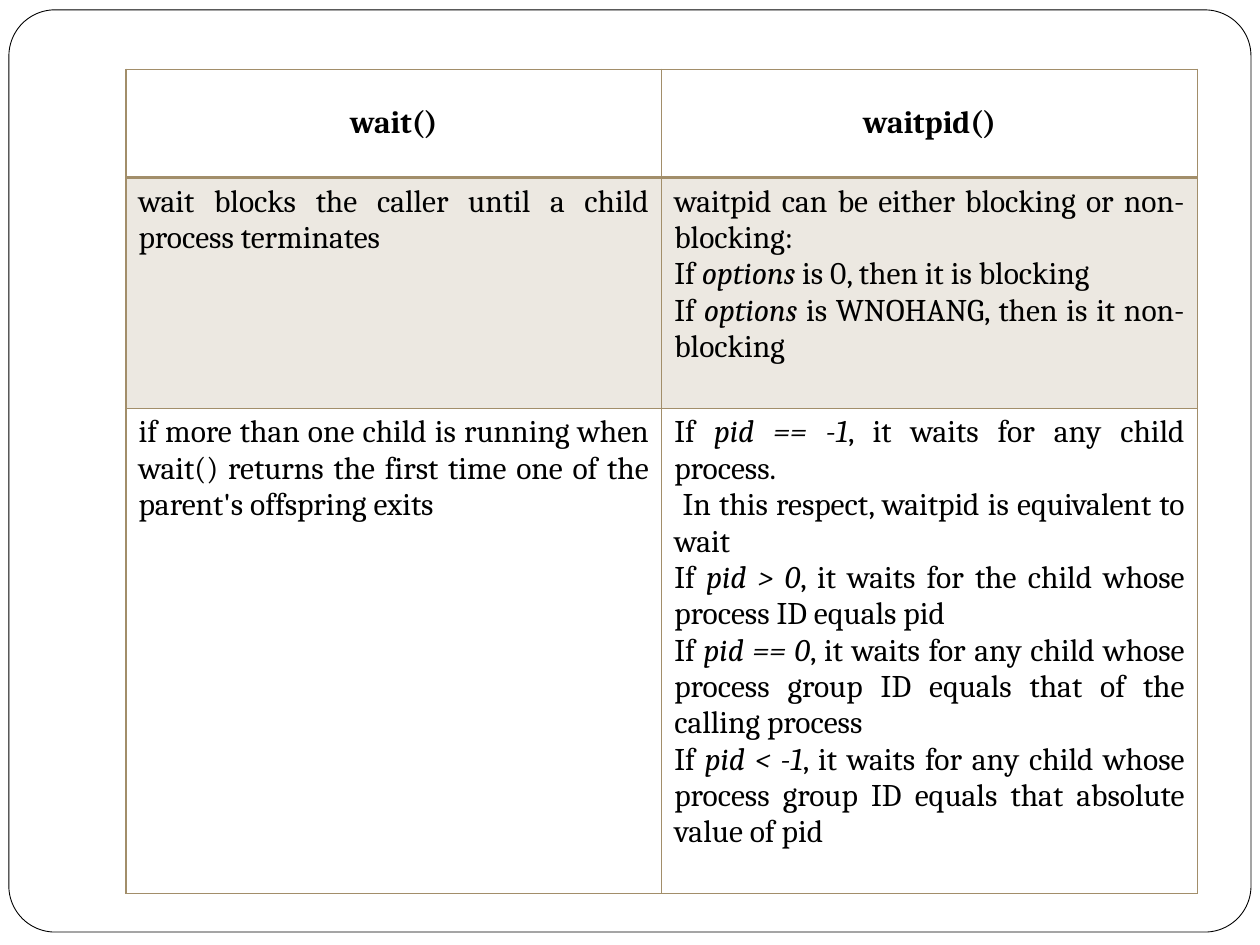
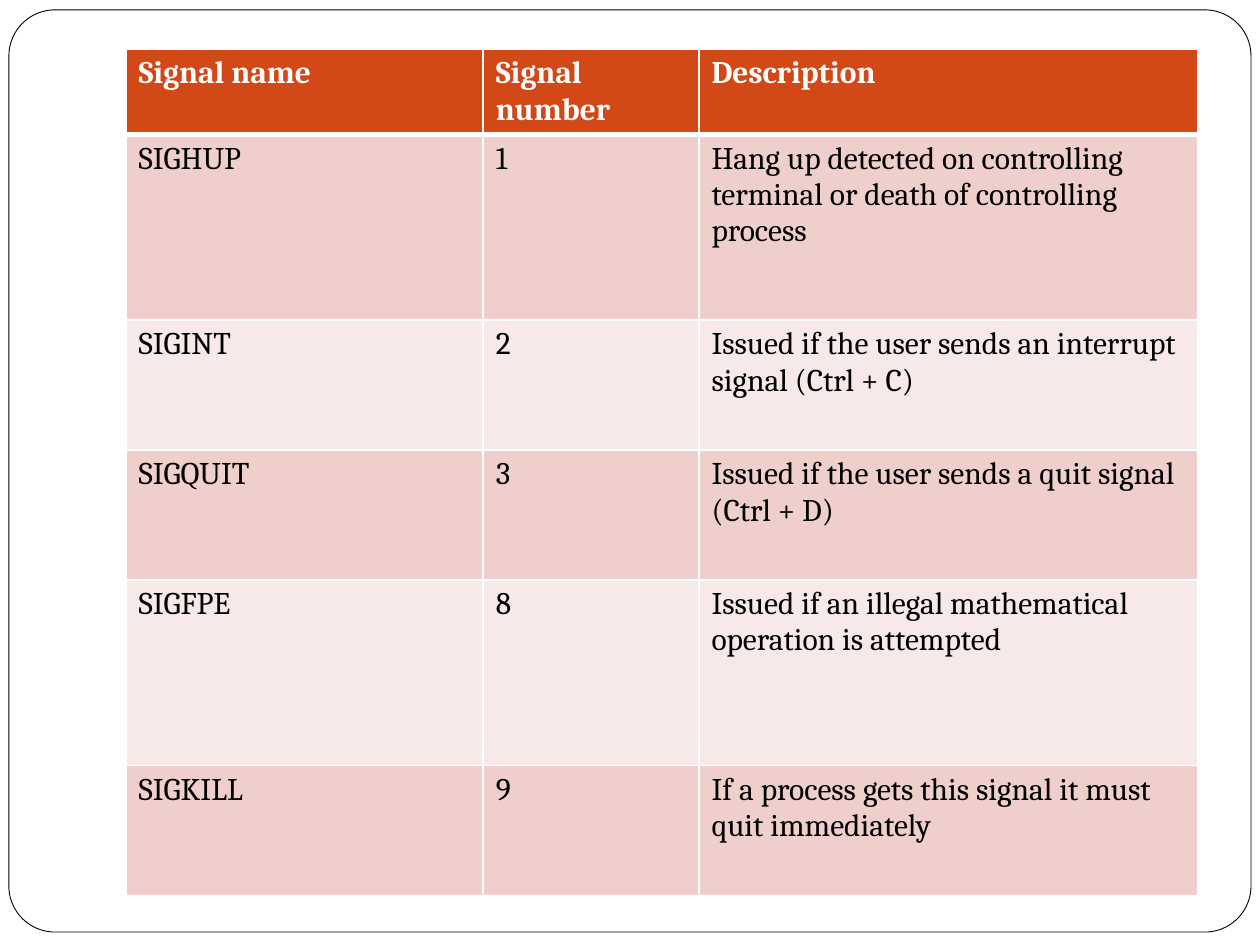
import pptx
import pptx.dml.color
import pptx.enum.shapes
import pptx.enum.text
import pptx.oxml.ns
import pptx.util
from lxml import etree
from pptx.util import Cm

COLORS = {
    "paper": "FFFFFF", "ink": "000000",
    "sand": "A28E6A", "sand_light": "ECE8E1",
    "orange": "D34817", "rose": "EFCFCC", "rose_light": "F7E9E8",
}
FONT = "Cambria"
TEXT_SIZE = 18
ALIGN = pptx.enum.text.PP_ALIGN
ANCHOR = pptx.enum.text.MSO_ANCHOR

WAIT_ROWS = [
    ["wait()", "waitpid()"],
    ["wait blocks the caller until a child process terminates",
     "waitpid can be either blocking or non-blocking:\n"
     "If *options* is 0, then it is blocking\n"
     "If *options* is WNOHANG, then is it non-blocking"],
    ["if more than one child is running when wait() returns the first time "
     "one of the parent's offspring exits",
     "If *pid == -1*, it waits for any child process.\n"
     " In this respect, waitpid is equivalent to wait\n"
     "If *pid > 0*, it waits for the child whose process ID equals pid\n"
     "If *pid == 0*, it waits for any child whose process group ID equals "
     "that of the calling process\n"
     "If *pid < -1*, it waits for any child whose process group ID equals "
     "that absolute value of pid"],
]
SIGNAL_ROWS = [
    ["Signal name", "Signal number", "Description"],
    ["SIGHUP", "1", "Hang up detected on controlling terminal or death of "
     "controlling process"],
    ["SIGINT", "2", "Issued if the user sends an interrupt signal (Ctrl + C)"],
    ["SIGQUIT", "3", "Issued if the user sends a quit signal (Ctrl + D)"],
    ["SIGFPE", "8", "Issued if an illegal mathematical operation is attempted"],
    ["SIGKILL", "9", "If a process gets this signal it must quit immediately"],
]


def rgb(name):
    """Return the palette colour with the given name."""
    return pptx.dml.color.RGBColor.from_string(COLORS[name])


def add_framed_page(deck):
    """Add a blank page with the rounded frame."""
    page = deck.slides.add_slide(deck.slide_layouts[6])
    frame = page.shapes.add_shape(
        pptx.enum.shapes.MSO_SHAPE.ROUNDED_RECTANGLE,
        Cm(0.18), Cm(0.2), Cm(25.04), Cm(18.59))
    frame.adjustments[0] = 0.05
    frame.shadow.inherit = False
    frame.fill.solid()
    frame.fill.fore_color.rgb = rgb("paper")
    frame.line.color.rgb = rgb("ink")
    frame.line.width = pptx.util.Pt(0.5)
    return page


def set_borders(cell, color, top, bottom):
    """Draw the four cell borders, with top and bottom widths in points."""
    properties = cell._tc.get_or_add_tcPr()
    for side, width in (("L", 1), ("R", 1), ("T", top), ("B", bottom)):
        line = etree.SubElement(properties, pptx.oxml.ns.qn(f"a:ln{side}"),
                                w=str(pptx.util.Pt(width)))
        fill = etree.SubElement(line, pptx.oxml.ns.qn("a:solidFill"))
        etree.SubElement(fill, pptx.oxml.ns.qn("a:srgbClr"), val=COLORS[color])


def write_cell(cell, text, color, bold, align):
    """Write one paragraph a line, with starred spans in italics."""
    cell.text_frame.text = "\n".join("" for _ in text.split("\n"))
    for para, line in zip(cell.text_frame.paragraphs, text.split("\n")):
        para.alignment = align
        for index, part in enumerate(line.split("*")):
            span = para.add_run()
            span.text = part
            span.font.name = FONT
            span.font.size = pptx.util.Pt(TEXT_SIZE)
            span.font.bold = bold
            span.font.italic = index % 2 == 1
            span.font.color.rgb = rgb(color)


def add_grid(page, box, rows, widths, heights, border, rule, fills,
             header_color="ink", header_align=ALIGN.LEFT,
             body_align=ALIGN.LEFT, header_anchor=ANCHOR.TOP):
    """Add a table with a heavier rule under its header row."""
    left, top = box
    table = page.shapes.add_table(
        len(rows), len(widths), Cm(left), Cm(top),
        Cm(sum(widths)), Cm(sum(heights))).table
    table.first_row = table.horz_banding = False
    for column, width in zip(table.columns, widths):
        column.width = Cm(width)
    for index, (row, height, fill) in enumerate(zip(table.rows, heights, fills)):
        row.height = Cm(height)
        header = index == 0
        for cell, text in zip(row.cells, rows[index]):
            set_borders(cell, border, rule if index == 1 else 1,
                        rule if header else 1)
            cell.fill.solid()
            cell.fill.fore_color.rgb = rgb(fill)
            cell.vertical_anchor = header_anchor if header else ANCHOR.TOP
            write_cell(cell, text, header_color if header else "ink", header,
                       header_align if header else body_align)


def add_wait_page(deck, box):
    """Compare wait() with waitpid()."""
    add_grid(add_framed_page(deck), box, WAIT_ROWS, [10.8] * 2,
             [2.18, 4.65, 9.78], "sand", 2, ["paper", "sand_light", "paper"],
             header_align=ALIGN.CENTER, body_align=ALIGN.JUSTIFY,
             header_anchor=ANCHOR.MIDDLE)


def add_signal_page(deck, box):
    """List the signals with their numbers and descriptions."""
    tall, low = 3.74, 2.62
    bands = ["rose", "rose_light"] * 2 + ["rose"]
    add_grid(add_framed_page(deck), box, SIGNAL_ROWS, [7.2, 4.35, 10.05],
             [1.69, tall, low, low, tall, low], "paper", 3,
             ["orange"] + bands, header_color="paper")


def main():
    """Build and save the deck."""
    deck = pptx.Presentation()
    deck.slide_width, deck.slide_height = Cm(25.4), Cm(19.05)
    add_wait_page(deck, (2.54, 1.4))
    add_signal_page(deck, (2.54, 0.99))
    deck.save("out.pptx")


if __name__ == "__main__":
    main()
